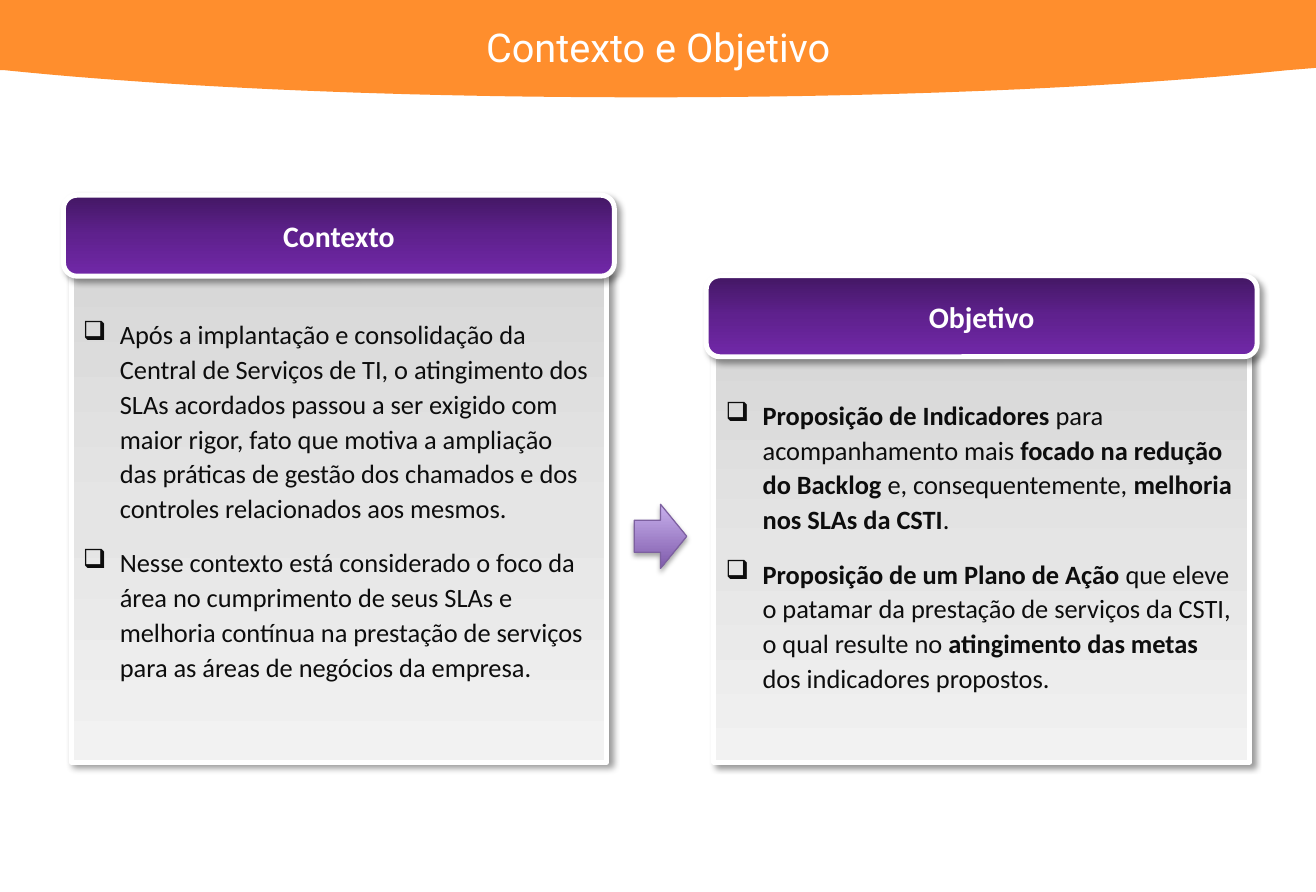
from dataclasses import dataclass

import pptx
import pptx.dml.color
import pptx.enum.shapes
import pptx.enum.text
import pptx.oxml
import pptx.oxml.ns
import pptx.util

Cm, Pt = pptx.util.Cm, pptx.util.Pt
MSO_SHAPE = pptx.enum.shapes.MSO_SHAPE
MIDDLE = pptx.enum.text.MSO_ANCHOR.MIDDLE
CENTER = pptx.enum.text.PP_ALIGN.CENTER
LEFT = pptx.enum.text.PP_ALIGN.LEFT
qn = pptx.oxml.ns.qn
NS = pptx.oxml.ns.nsdecls("a")

SLIDE_W, SLIDE_H = 28.09, 19.05
PANEL_W, PANEL_BOTTOM = 11.43, 16.28
HEADER_W, HEADER_H, HEADER_STEP = 11.76, 1.73, 1.63
GREY = ("D8D8D8", "E5E5E5", "F2F2F2")
PURPLE = ("431764", "5F218E", "7128A8")
LILAC = ("C8B0ED", "7F5BAB")


@dataclass
class Shadow:
    alpha: int
    blur: float
    dist: float
    angle: int


@dataclass
class Panel:
    title: str
    left: float
    top: float
    items: list[str]  # bold passages stand between ** marks


CARD_SHADOW = Shadow(40, 4, 3, 45)
ARROW_SHADOW = Shadow(35, 3.1, 1.8, 90)

PANELS = [
    Panel("Contexto", 1.52, 4.17, [
        "Após a implantação e consolidação da Central de Serviços de TI, o atingimento dos SLAs "
        "acordados passou a ser exigido com maior rigor, fato que motiva a ampliação das práticas "
        "de gestão dos chamados e dos controles relacionados aos mesmos.",
        "Nesse contexto está considerado o foco da área no cumprimento de seus SLAs e melhoria "
        "contínua na prestação de serviços para as áreas de negócios da empresa.",
    ]),
    Panel("Objetivo", 15.24, 5.89, [
        "**Proposição de Indicadores **para acompanhamento mais **focado na redução do Backlog** "
        "e, consequentemente, **melhoria nos SLAs da CSTI**.",
        "**Proposição de um Plano de Ação **que eleve o patamar da prestação de serviços da CSTI, "
        "o qual resulte no **atingimento das metas** dos indicadores propostos.",
    ]),
]


def rgb(color: str) -> pptx.dml.color.RGBColor:
    return pptx.dml.color.RGBColor.from_string(color)


def add_text(p, text: str, *, size: float, color: str, font: str = "Calibri", bold: bool = False):
    r = p.add_run()
    r.text = text
    r.font.name, r.font.size, r.font.bold = font, Pt(size), bold
    r.font.color.rgb = rgb(color)


def add_block(slide, kind, left: float, top: float, width: float, height: float,
              colors: tuple, line: str, line_width: float, shadow: Shadow):
    """Preset shape with a vertical gradient, an outline and an outer shadow."""
    sp = slide.shapes.add_shape(kind, Cm(left), Cm(top), Cm(width), Cm(height))
    stops = "".join(
        f'<a:gs pos="{100000 * i // (len(colors) - 1)}"><a:srgbClr val="{c}"/></a:gs>'
        for i, c in enumerate(colors))
    props = sp._element.spPr
    props.find(qn("a:prstGeom")).addnext(pptx.oxml.parse_xml(
        f'<a:gradFill {NS} rotWithShape="1"><a:gsLst>{stops}</a:gsLst>'
        '<a:lin ang="5400000" scaled="0"/></a:gradFill>'))
    sp.line.color.rgb = rgb(line)
    sp.line.width = Pt(line_width)
    sp.shadow.inherit = False
    props.find(qn("a:effectLst")).append(pptx.oxml.parse_xml(
        f'<a:outerShdw {NS} blurRad="{Pt(shadow.blur)}" dist="{Pt(shadow.dist)}" '
        f'dir="{shadow.angle * 60000}" algn="tl" rotWithShape="0"><a:srgbClr val="000000">'
        f'<a:alpha val="{shadow.alpha * 1000}"/></a:srgbClr></a:outerShdw>'))
    return sp


def add_item(p, text: str, first: bool):
    p.alignment = LEFT
    p.line_spacing = Pt(21)
    p.space_before, p.space_after = Pt(0 if first else 6), Pt(6)
    pPr = p._p.get_or_add_pPr()
    pPr.set("marL", str(Cm(0.79)))
    pPr.set("indent", str(-Cm(0.79)))
    pPr.append(pptx.oxml.parse_xml(f'<a:buChar {NS} char="❑"/>'))
    for i, part in enumerate(text.split("**")):
        if part:
            add_text(p, part, size=16, color="0D0D0D", bold=i % 2 == 1)


def add_panel(slide, panel: Panel):
    # Body
    top = panel.top + HEADER_STEP
    sp = add_block(slide, MSO_SHAPE.RECTANGLE, panel.left, top, PANEL_W, PANEL_BOTTOM - top,
                   GREY, "FFFFFF", 3, CARD_SHADOW)
    tf = sp.text_frame
    tf.word_wrap = True
    tf.vertical_anchor = pptx.enum.text.MSO_ANCHOR.TOP
    tf.margin_top = Cm(0.94)
    for i, item in enumerate(panel.items):
        add_item(tf.add_paragraph() if i else tf.paragraphs[0], item, first=i == 0)

    # Header
    sp = add_block(slide, MSO_SHAPE.ROUNDED_RECTANGLE, panel.left - (HEADER_W - PANEL_W) / 2,
                   panel.top, HEADER_W, HEADER_H, PURPLE, "FFFFFF", 3, CARD_SHADOW)
    sp.text_frame.vertical_anchor = MIDDLE
    p = sp.text_frame.paragraphs[0]
    p.alignment = CENTER
    add_text(p, panel.title, size=18, color="FFFFFF", bold=True)


def curve(a: tuple, b: tuple, c: tuple, d: tuple, steps: int = 24) -> list:
    """Points along a cubic Bézier curve, without its start."""
    return [tuple((1 - t) ** 3 * a[k] + 3 * (1 - t) ** 2 * t * b[k]
                  + 3 * (1 - t) * t ** 2 * c[k] + t ** 3 * d[k] for k in (0, 1))
            for t in (n / steps for n in range(1, steps + 1))]


def add_band(slide):
    right, low, left = (27.48, 1.5), (13.79, 2.08), (0.1, 1.5)
    points = [(SLIDE_W, 0), (SLIDE_W, 1.45), right,
              *curve(right, (23.77, 1.88), (19, 2.08), low),
              *curve(low, (8.59, 2.08), (3.81, 1.88), left), (0, 1.5)]
    builder = slide.shapes.build_freeform(0, 0)
    builder.add_line_segments([(Cm(x), Cm(y)) for x, y in points], close=True)
    sp = builder.convert_to_shape()
    sp.fill.solid()
    sp.fill.fore_color.rgb = rgb("FF8E2D")
    sp.line.fill.background()
    sp.shadow.inherit = False


def main():
    prs = pptx.Presentation()
    prs.slide_width, prs.slide_height = Cm(SLIDE_W), Cm(SLIDE_H)
    slide = prs.slides.add_slide(prs.slide_layouts[6])

    # Title band
    add_band(slide)
    tf = slide.shapes.add_textbox(Cm(2.39), Cm(0.36), Cm(23.32), Cm(1.27)).text_frame
    tf.word_wrap = True
    p = tf.paragraphs[0]
    p.alignment = CENTER
    add_text(p, "Contexto e Objetivo", size=24, color="FFFFFF", font="Roboto")

    # Panels and the arrow between them
    for panel in PANELS:
        add_panel(slide, panel)
    add_block(slide, MSO_SHAPE.RIGHT_ARROW, 13.54, 10.77, 1.12, 1.37,
              LILAC, "7D60A0", 0.75, ARROW_SHADOW)

    prs.save("out.pptx")


if __name__ == "__main__":
    main()
